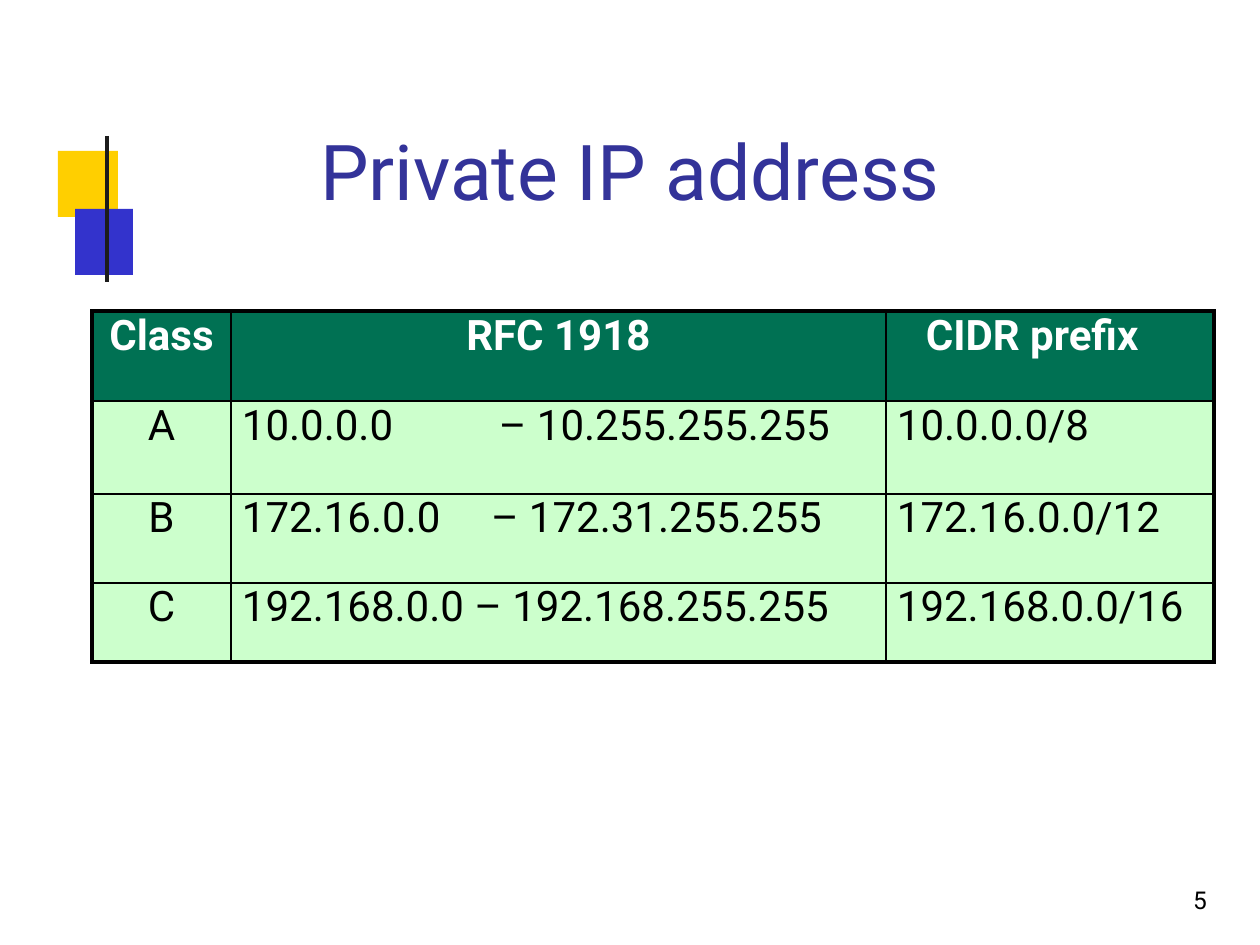
from dataclasses import dataclass

from lxml import etree
from pptx import Presentation
from pptx.dml.color import RGBColor
from pptx.enum.shapes import MSO_CONNECTOR, MSO_SHAPE
from pptx.enum.text import MSO_ANCHOR, MSO_AUTO_SIZE, PP_ALIGN
from pptx.oxml.ns import qn
from pptx.util import Emu, Pt

RECTANGLE = MSO_SHAPE.RECTANGLE
STRAIGHT = MSO_CONNECTOR.STRAIGHT
TOP = MSO_ANCHOR.TOP
GROW = MSO_AUTO_SIZE.SHAPE_TO_FIT_TEXT
LEFT, CENTER = PP_ALIGN.LEFT, PP_ALIGN.CENTER
TITLE_ONLY = 5
PX_PER_INCH = 126


@dataclass(frozen=True)
class Theme:
    font: str = "Roboto"
    title: str = "333399"
    text: str = "000000"
    header_text: str = "FFFFFF"
    header_fill: str = "007153"
    body_fill: str = "CCFFCC"
    border: str = "000000"
    yellow: str = "FFCF00"
    blue: str = "3333CC"
    rule: str = "1C1C1C"
    title_size: int = 44
    table_size: int = 24
    number_size: int = 14
    outer_border: float = 2.25
    inner_border: float = 1
    rule_width: float = 2.52


THEME = Theme()

HEADERS = ["Class", "RFC 1918", "CIDR prefix"]
ADDRESSES = [
    ["A", "10.0.0.0\t– 10.255.255.255", "10.0.0.0/8"],
    ["B", "172.16.0.0\t– 172.31.255.255", "172.16.0.0/12"],
    ["C", "192.168.0.0 – 192.168.255.255", "192.168.0.0/16"],
]
RANGE_TABS = {1: 257, 2: 249}
COLUMN_WIDTHS = [139, 655, 328]
ROW_HEIGHTS = [90, 93, 89, 79]
CELL_INDENT = 11
PREFIX_HEADER_INDENT = 40


def px(length):
    return Emu(round(length * 914400 / PX_PER_INCH))


def color(hex_value):
    return RGBColor.from_string(hex_value)


def style_paragraph(paragraph, size, hex_value, align=LEFT, bold=False):
    paragraph.alignment = align
    font = paragraph.font
    font.name = THEME.font
    font.size = Pt(size)
    font.bold = bold
    font.color.rgb = color(hex_value)


def set_margins(holder, left=0):
    holder.margin_left = px(left)
    holder.margin_top = holder.margin_right = holder.margin_bottom = 0


def add_square(slide, left, top, width, height, hex_value):
    square = slide.shapes.add_shape(RECTANGLE, px(left), px(top), px(width), px(height))
    square.shadow.inherit = False
    square.fill.solid()
    square.fill.fore_color.rgb = color(hex_value)
    square.line.fill.background()


def add_vertical_rule(slide, x, top, bottom):
    rule = slide.shapes.add_connector(STRAIGHT, px(x), px(top), px(x), px(bottom))
    rule.line.color.rgb = color(THEME.rule)
    rule.line.width = Pt(THEME.rule_width)
    etree.SubElement(rule._element.spPr, qn("a:effectLst"))


def set_title(slide, text):
    title = slide.shapes.title
    title.left, title.top, title.width, title.height = map(px, (170, 124, 921, 92))
    frame = title.text_frame
    frame.text = text
    frame.auto_size = GROW
    frame.vertical_anchor = TOP
    set_margins(frame)
    paragraph = frame.paragraphs[0]
    style_paragraph(paragraph, THEME.title_size, THEME.title, CENTER)
    paragraph.line_spacing = Pt(52.5)


def add_slide_number(slide, number):
    frame = slide.shapes.add_textbox(px(1164), px(887), px(59), px(29)).text_frame
    frame.text = number
    frame.word_wrap = True
    frame.auto_size = GROW
    set_margins(frame, left=29)
    paragraph = frame.paragraphs[0]
    style_paragraph(paragraph, THEME.number_size, THEME.text)
    paragraph.line_spacing = Pt(15.5)


def set_borders(cell, outer_sides):
    """Draw all four sides, thicker on those at the table's edge."""
    properties = cell._tc.get_or_add_tcPr()
    for position, side in enumerate(("L", "R", "T", "B")):
        width = THEME.outer_border if side in outer_sides else THEME.inner_border
        line = etree.Element(qn(f"a:ln{side}"), w=str(Pt(width)))
        fill = etree.SubElement(line, qn("a:solidFill"))
        etree.SubElement(fill, qn("a:srgbClr"), val=THEME.border)
        properties.insert(position, line)


def set_tab(paragraph, position):
    tabs = etree.SubElement(paragraph._p.get_or_add_pPr(), qn("a:tabLst"))
    etree.SubElement(tabs, qn("a:tab"), pos=str(px(position)), algn="l")
    # The tab list has to precede the default run properties.
    defaults = paragraph._p.pPr.find(qn("a:defRPr"))
    if defaults is not None:
        defaults.addprevious(tabs)


def fill_cell(cell, text, row, column):
    header = row == 0
    centered = column == 0 or (header and column == 1)
    indent = PREFIX_HEADER_INDENT if header else CELL_INDENT
    cell.text = text
    cell.vertical_anchor = TOP
    set_margins(cell, left=0 if centered else indent)
    cell.fill.solid()
    cell.fill.fore_color.rgb = color(THEME.header_fill if header else THEME.body_fill)
    paragraph = cell.text_frame.paragraphs[0]
    style_paragraph(
        paragraph,
        THEME.table_size,
        THEME.header_text if header else THEME.text,
        CENTER if centered else LEFT,
        bold=header,
    )
    paragraph.space_before = Pt(7.2 if header else 0.3)
    if column == 1 and row in RANGE_TABS:
        set_tab(paragraph, RANGE_TABS[row])


def add_address_table(slide, left, top):
    rows = [HEADERS, *ADDRESSES]
    table = slide.shapes.add_table(
        len(rows), len(HEADERS), px(left), px(top),
        px(sum(COLUMN_WIDTHS)), px(sum(ROW_HEIGHTS)),
    ).table
    table.first_row = table.horz_banding = False
    for column, width in zip(table.columns, COLUMN_WIDTHS):
        column.width = px(width)
    for table_row, height in zip(table.rows, ROW_HEIGHTS):
        table_row.height = px(height)

    last_row, last_column = len(rows) - 1, len(HEADERS) - 1
    for row, texts in enumerate(rows):
        for column, text in enumerate(texts):
            cell = table.cell(row, column)
            fill_cell(cell, text, row, column)
            edges = {"L": column == 0, "R": column == last_column,
                     "T": row == 0, "B": row == last_row}
            set_borders(cell, [side for side, outer in edges.items() if outer])


def main():
    presentation = Presentation()
    presentation.slide_width = px(10 * PX_PER_INCH)
    presentation.slide_height = px(7.5 * PX_PER_INCH)
    slide = presentation.slides.add_slide(presentation.slide_layouts[TITLE_ONLY])
    add_square(slide, 58, 151, 60, 66, THEME.yellow)
    add_square(slide, 75, 209, 58, 66, THEME.blue)
    add_vertical_rule(slide, 107, 136, 282)
    set_title(slide, "Private IP address")
    add_address_table(slide, 92, 311)
    add_slide_number(slide, "5")
    presentation.save("out.pptx")


if __name__ == "__main__":
    main()
